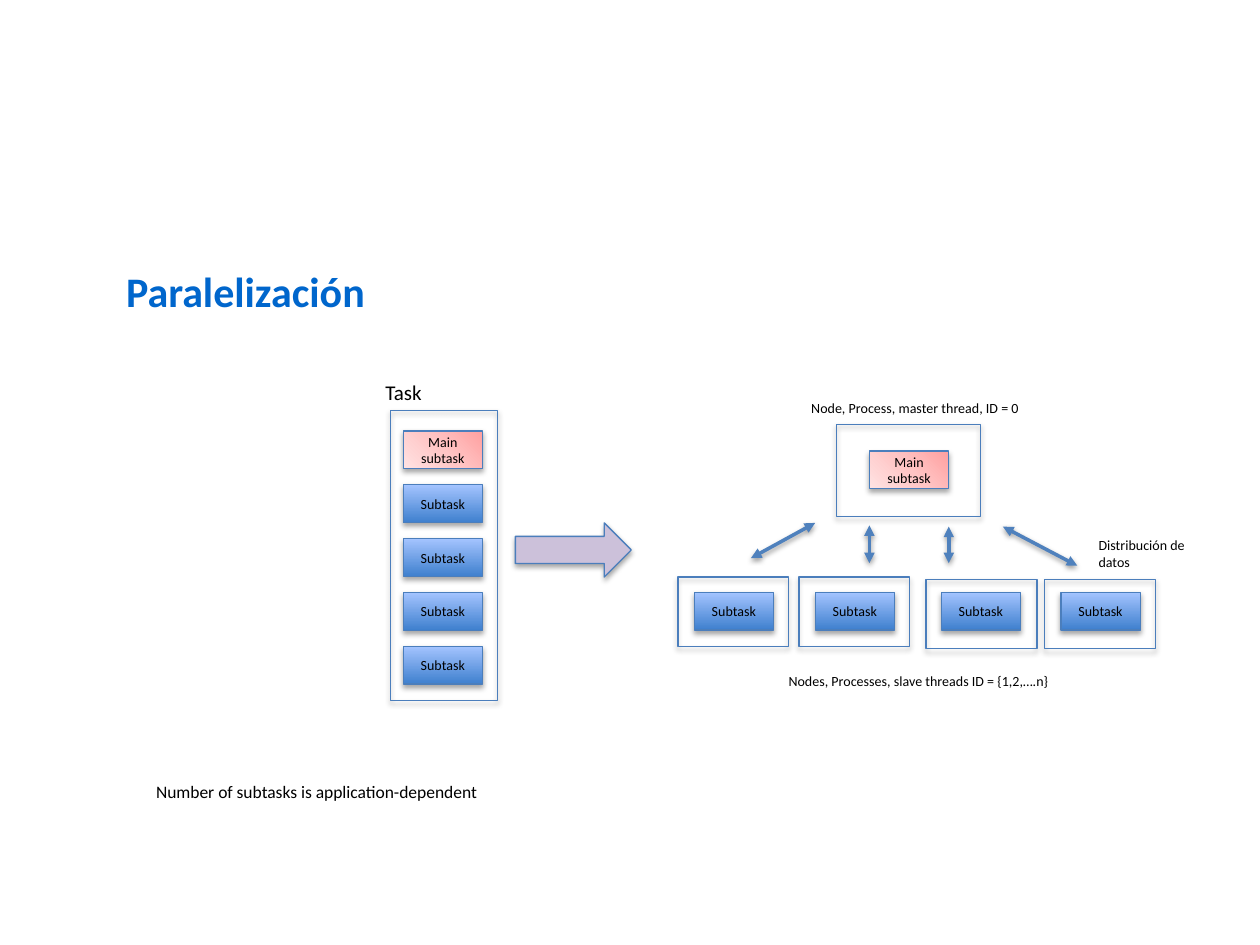
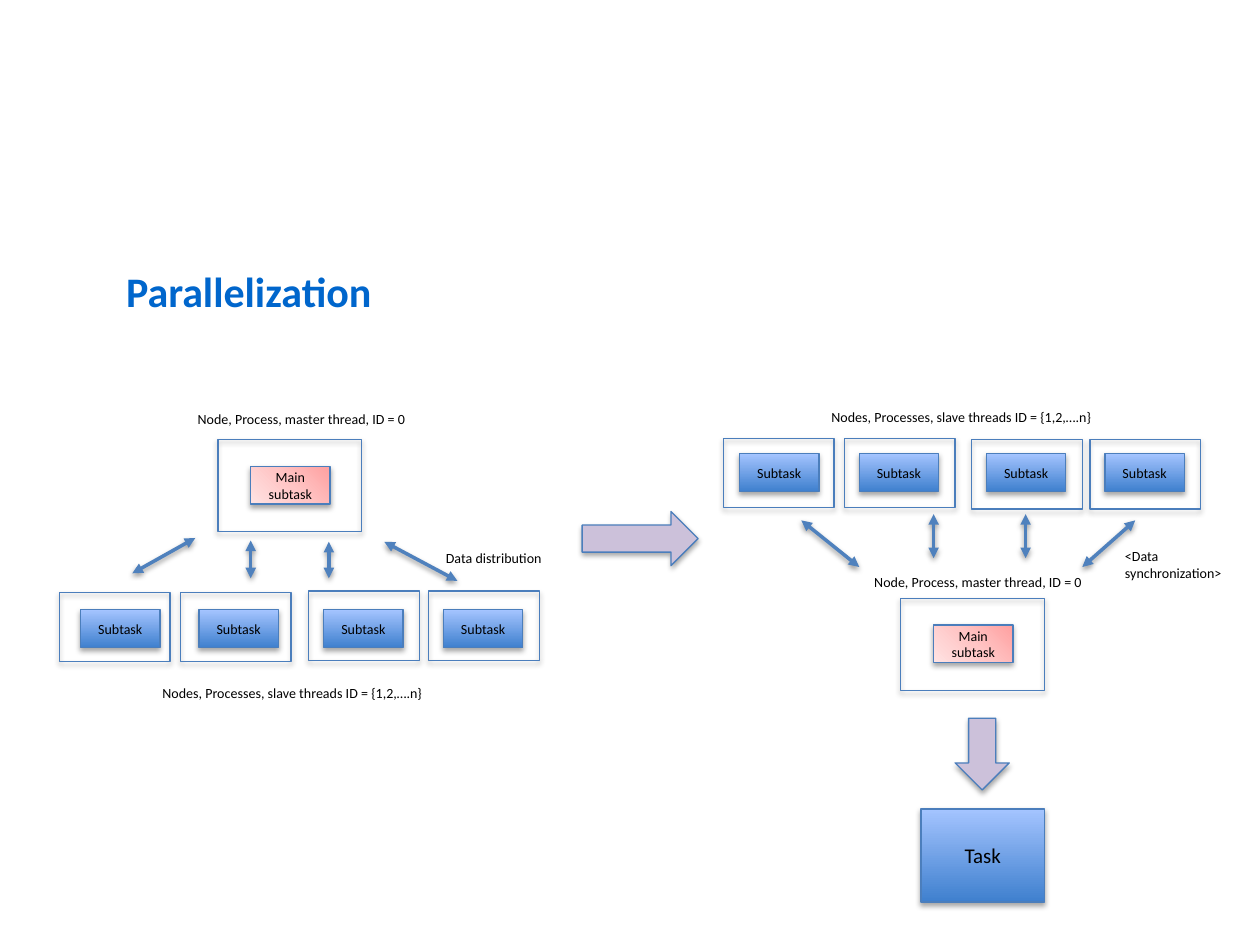
from lxml import etree
from pptx import Presentation
from pptx import util as u
from pptx.dml.color import RGBColor
from pptx.enum import shapes, text
from pptx.oxml.ns import qn

# Shared style
FONT = "Calibri"
TITLE_BLUE = RGBColor(0x00, 0x66, 0xCC)
BLACK = RGBColor(0x00, 0x00, 0x00)
OUTLINE = RGBColor(0x4B, 0x7E, 0xBC)
LINK_BLUE = RGBColor(0x4F, 0x81, 0xBD)
LILAC = RGBColor(0xCC, 0xC1, 0xDA)
RED_GRADIENT = {
    "angle": 225,
    "stops": [(0, RGBColor(0xFF, 0xA0, 0xA0)), (50, RGBColor(0xFF, 0xC5, 0xC5)),
              (100, RGBColor(0xFF, 0xE3, 0xE3))],
}
BLUE_GRADIENT = {
    "angle": 90,
    "stops": [(0, RGBColor(0x3F, 0x80, 0xCE)), (100, RGBColor(0xA4, 0xC4, 0xFF))],
}
SHAPE_SHADOW = {"opacity": 35, "distance": 1.8}
LINK_SHADOW = {"opacity": 38, "distance": 1.6}

# Sizes and rules, in inches
SLIDE_SIZE = (10, 7.5)
TITLE_BOX = (0.9, 2.06, 8.5, 0.5)
BLOCK = (0.63, 0.3)
MASTER_FRAME = (1.14, 0.73)
MASTER_INSET = (0.26, 0.21)
SLAVE_FRAME = (0.88, 0.55)
MASTER_CAPTION = (1.97, 0.24)
SLAVE_CAPTION = (2.39, 0.37)
STACK_PITCH = 0.4275

MAIN = "Main subtask"
SUBTASK = "Subtask"
MASTER_TEXT = "Node, Process, master thread, ID = 0"
SLAVE_TEXT = "Nodes, Processes, slave threads ID = {1,2,….n}"

# Content: each cluster is a master node linked with four slave nodes
SLIDES = [
    {
        "title": "Paralelización",
        "stack": {"frame": (3.1, 3.26, 0.85, 2.3), "first": (3.2, 3.42),
                  "blocks": [MAIN] + [SUBTASK] * 4},
        "clusters": [
            {"master": (6.64, 3.37), "master_caption": (6.34, 3.12),
             "slaves": [(5.38, 4.58), (6.34, 4.58), (7.35, 4.6), (8.29, 4.6)],
             "blocks_x": [5.51, 6.47, 7.47, 8.42], "blocks_y": 4.7,
             "slave_caption": (6.16, 5.29),
             "links": [(5.96, 4.43, 6.47, 4.15), (8.55, 4.49, 7.96, 4.18),
                       (6.9, 4.47, 6.9, 4.17), (7.53, 4.47, 7.53, 4.18)]},
        ],
        "arrows": [((4.09, 4.15, 0.92, 0.43), 0)],
        "result": None,
        "labels": [("Task", (2.96, 2.96, 0.96, 0.3), 12),
                   ("Distribución de datos", (8.62, 4.21, 0.99, 0.37), 8),
                   ("Number of subtasks is application-dependent",
                    (1.14, 6.15, 3.38, 0.27), 10)],
    },
    {
        "title": "Parallelization",
        "stack": None,
        "clusters": [
            {"master": (1.73, 3.49), "master_caption": (1.47, 3.21),
             "slaves": [(0.47, 4.7), (1.43, 4.7), (2.45, 4.69), (3.4, 4.69)],
             "blocks_x": [0.64, 1.58, 2.57, 3.52], "blocks_y": 4.84,
             "slave_caption": (1.19, 5.38),
             "links": [(1.05, 4.55, 1.55, 4.27), (3.63, 4.61, 3.05, 4.3),
                       (1.99, 4.59, 1.99, 4.29), (2.61, 4.59, 2.61, 4.3)]},
            {"master": (7.15, 4.75), "master_caption": (6.84, 4.5),
             "slaves": [(5.74, 3.48), (6.7, 3.48), (7.71, 3.49), (8.65, 3.49)],
             "blocks_x": [5.87, 6.82, 7.83, 8.77], "blocks_y": 3.6,
             "slave_caption": (6.5, 3.19),
             "links": [(6.36, 4.13, 6.82, 4.5), (7.41, 4.08, 7.41, 4.43),
                       (8.14, 4.08, 8.14, 4.43), (8.59, 4.5, 9.01, 4.13)]},
        ],
        "arrows": [((4.62, 4.06, 0.92, 0.43), 0), ((7.51, 5.77, 0.57, 0.43), 90)],
        "result": ("Task", (7.31, 6.42, 0.98, 0.74)),
        "labels": [("Data distribution", (3.44, 4.31, 0.99, 0.24), 8),
                   ("<Data synchronization>", (8.83, 4.3, 0.99, 0.37), 8)],
    },
]


def inches(lengths):
    return [u.Inches(length) for length in lengths]


def write(shape, words, size=8, color=BLACK, bold=False,
          align=text.PP_ALIGN.LEFT, anchor=text.MSO_ANCHOR.TOP):
    frame = shape.text_frame
    frame.word_wrap = True
    frame.auto_size = text.MSO_AUTO_SIZE.NONE
    frame.vertical_anchor = anchor
    frame.text = words
    paragraph = frame.paragraphs[0]
    paragraph.alignment = align
    font = paragraph.runs[0].font
    font.name, font.size, font.bold = FONT, u.Pt(size), bold
    font.color.rgb = color


def add_label(slide, words, box, size=8):
    write(slide.shapes.add_textbox(*inches(box)), words, size=size)


def add_shadow(effects, opacity, distance):
    shadow = etree.SubElement(
        effects, qn("a:outerShdw"), blurRad=str(u.Pt(3.1)), dist=str(u.Pt(distance)),
        dir="5400000", rotWithShape="0")
    color = etree.SubElement(shadow, qn("a:srgbClr"), val=str(BLACK))
    etree.SubElement(color, qn("a:alpha"), val=str(opacity * 1000))


def fill_gradient(shape, stops, angle):
    shape.fill.gradient()
    shape.fill.gradient_angle = angle
    stop_list = shape.element.spPr.find(qn("a:gradFill")).find(qn("a:gsLst"))
    stop_list.clear()
    for position, color in stops:
        stop = etree.SubElement(stop_list, qn("a:gs"), pos=str(position * 1000))
        etree.SubElement(stop, qn("a:srgbClr"), val=str(color))


def add_outlined(slide, box, kind=shapes.MSO_SHAPE.RECTANGLE):
    shape = slide.shapes.add_shape(kind, *inches(box))
    shape.fill.background()
    shape.line.color.rgb = OUTLINE
    shape.line.width = u.Pt(0.75)
    shape.shadow.inherit = False
    add_shadow(shape.element.spPr.find(qn("a:effectLst")), **SHAPE_SHADOW)
    return shape


def add_block(slide, words, box, size=8):
    shape = add_outlined(slide, box)
    fill_gradient(shape, **(RED_GRADIENT if words == MAIN else BLUE_GRADIENT))
    write(shape, words, size=size, align=text.PP_ALIGN.CENTER,
          anchor=text.MSO_ANCHOR.MIDDLE)


def add_arrow(slide, box, rotation):
    arrow = add_outlined(slide, box, shapes.MSO_SHAPE.RIGHT_ARROW)
    arrow.fill.solid()
    arrow.fill.fore_color.rgb = LILAC
    arrow.rotation = rotation


def add_link(slide, ends):
    link = slide.shapes.add_connector(shapes.MSO_CONNECTOR.STRAIGHT, *inches(ends))
    link.line.color.rgb = LINK_BLUE
    link.line.width = u.Pt(2)
    properties = link.element.spPr
    for end in ("a:headEnd", "a:tailEnd"):
        etree.SubElement(properties.find(qn("a:ln")), qn(end), type="triangle")
    add_shadow(etree.SubElement(properties, qn("a:effectLst")), **LINK_SHADOW)


def add_stack(slide, frame, first, blocks):
    left, top = first
    for row, words in enumerate(blocks):
        add_block(slide, words, (left, top + row * STACK_PITCH, *BLOCK))
    add_outlined(slide, frame)


def add_cluster(slide, cluster):
    # Master node
    left, top = cluster["master"]
    add_block(slide, MAIN, (left + MASTER_INSET[0], top + MASTER_INSET[1], *BLOCK))
    add_outlined(slide, (left, top, *MASTER_FRAME))
    add_label(slide, MASTER_TEXT, (*cluster["master_caption"], *MASTER_CAPTION))
    # Slave nodes
    for block_x, corner in zip(cluster["blocks_x"], cluster["slaves"]):
        add_block(slide, SUBTASK, (block_x, cluster["blocks_y"], *BLOCK))
        add_outlined(slide, (*corner, *SLAVE_FRAME))
    add_label(slide, SLAVE_TEXT, (*cluster["slave_caption"], *SLAVE_CAPTION))
    for ends in cluster["links"]:
        add_link(slide, ends)


def add_title(slide, words):
    title = slide.shapes.title
    title.left, title.top, title.width, title.height = inches(TITLE_BOX)
    write(title, words, size=24, color=TITLE_BLUE, bold=True)


def build_slide(presentation, content):
    slide = presentation.slides.add_slide(presentation.slide_layouts[5])
    add_title(slide, content["title"])
    if content["stack"]:
        add_stack(slide, **content["stack"])
    for box, rotation in content["arrows"]:
        add_arrow(slide, box, rotation)
    for cluster in content["clusters"]:
        add_cluster(slide, cluster)
    if content["result"]:
        add_block(slide, *content["result"], size=12)
    for words, box, size in content["labels"]:
        add_label(slide, words, box, size)


def main():
    presentation = Presentation()
    presentation.slide_width, presentation.slide_height = inches(SLIDE_SIZE)
    for content in SLIDES:
        build_slide(presentation, content)
    presentation.save("out.pptx")


if __name__ == "__main__":
    main()
